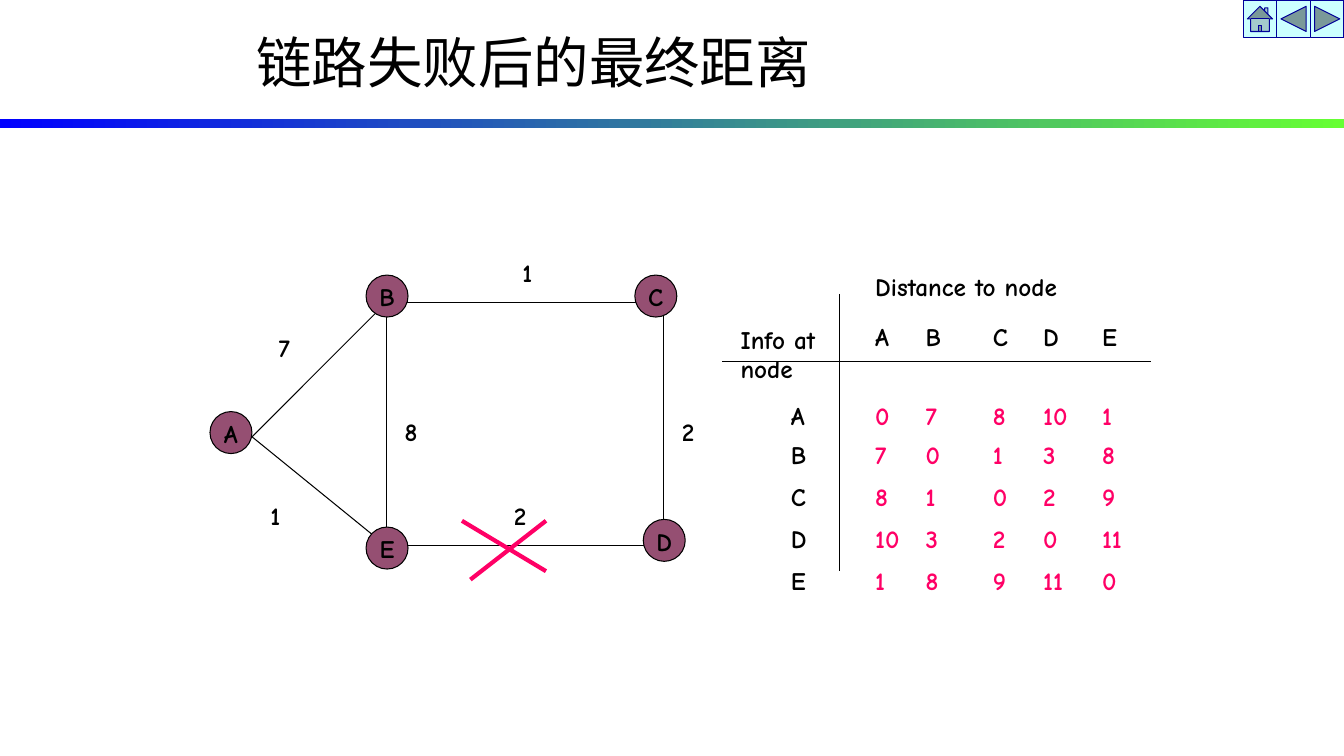
from lxml.etree import SubElement
from pptx import Presentation
from pptx.dml.color import RGBColor
from pptx.enum.shapes import MSO_CONNECTOR, MSO_SHAPE
from pptx.enum.text import MSO_ANCHOR, MSO_AUTO_SIZE, PP_ALIGN
from pptx.oxml.ns import qn
from pptx.util import Pt

BLACK = RGBColor(0x00, 0x00, 0x00)
PINK = RGBColor(0xFF, 0x00, 0x66)
PLUM = RGBColor(0x95, 0x4F, 0x72)
CYAN = RGBColor(0xCC, 0xFF, 0xFF)
NAVY = RGBColor(0x00, 0x00, 0x99)
BLUE = RGBColor(0x00, 0x00, 0xFF)
GREEN = RGBColor(0x66, 0xFF, 0x33)
FONT = "Comic Neue"

TITLE = "链路失败后的最终距离"
BUTTONS = [MSO_SHAPE.ACTION_BUTTON_HOME,
           MSO_SHAPE.ACTION_BUTTON_BACK_OR_PREVIOUS,
           MSO_SHAPE.ACTION_BUTTON_FORWARD_OR_NEXT]

# Left and top of each node circle
NODES = {"A": (150, 294), "B": (261.5, 196.5), "C": (453.5, 196.5),
         "D": (459.5, 371), "E": (261.5, 376.5)}
LOOP = (276, 216, 198, 174)
SPOKES = [(276, 216, 180, 312), (180, 312, 276, 390)]
COSTS = [("7", 192, 234), ("1", 186, 354), ("1", 366, 180),
         ("2", 360, 354), ("2", 480, 294), ("8", 282, 294)]
CROSS = [(330, 372, 390, 408), (336, 414, 390, 372)]

CORNER = "Info at\nnode"
HEAD = "Distance to node"
DIST = [[0, 7, 8, 10, 1],
        [7, 0, 1, 3, 8],
        [8, 1, 0, 2, 9],
        [10, 3, 2, 0, 11],
        [1, 8, 9, 11, 0]]
COLS = [84, 54, 48, 36, 42, 48]
ROWS = [36, 30, 36, 30, 30, 30, 30]
GRID = (516, 192)
RULES = [(516, 258, 822, 258), (600, 210, 600, 408)]


def pts(*nums):
    return [Pt(num) for num in nums]


def write(frame, text, color=BLACK):
    frame.text = text
    for para in frame.paragraphs:
        for run in para.runs:
            run.font.name = FONT
            run.font.size = Pt(18)
            run.font.bold = True
            run.font.color.rgb = color


def draw(slide, kind, box, fill=None, line=BLACK):
    shape = slide.shapes.add_shape(kind, *pts(*box))
    shape.shadow.inherit = False
    if fill is None:
        shape.fill.background()
    else:
        shape.fill.solid()
        shape.fill.fore_color.rgb = fill
    shape.line.color.rgb = line
    shape.line.width = Pt(0.75)
    return shape


def link(slide, ends, color=BLACK, width=0.75):
    line = slide.shapes.add_connector(MSO_CONNECTOR.STRAIGHT, *pts(*ends))
    SubElement(line._element.spPr, qn("a:effectLst"))
    line.line.color.rgb = color
    line.line.width = Pt(width)


def add_title(slide):
    title = slide.shapes.title
    title.left, title.top, title.width, title.height = pts(176, 21, 459, 51)
    frame = title.text_frame
    frame.text = TITLE
    frame.auto_size = MSO_AUTO_SIZE.NONE
    frame.vertical_anchor = MSO_ANCHOR.MIDDLE
    para = frame.paragraphs[0]
    para.alignment = PP_ALIGN.LEFT
    para.line_spacing = 0.9
    font = para.runs[0].font
    font.name, font.size = "Calibri", Pt(39.6)
    font.color.rgb = BLACK


def add_frame(slide):
    """Draw the colour bar and the buttons in the corner."""
    bar = draw(slide, MSO_SHAPE.RECTANGLE, (0, 85, 960, 6.5))
    bar.line.fill.background()
    bar.fill.gradient()
    bar.fill.gradient_angle = 0
    for stop, color, place in zip(bar.fill.gradient_stops, (BLUE, GREEN), (0, 1)):
        stop.color.rgb = color
        stop.position = place
    for i, kind in enumerate(BUTTONS):
        draw(slide, kind, (888 + 24 * i, 0, 24, 27), CYAN, NAVY)


def add_graph(slide):
    draw(slide, MSO_SHAPE.RECTANGLE, LOOP)
    for ends in SPOKES:
        link(slide, ends)
    for name, (left, top) in NODES.items():
        node = draw(slide, MSO_SHAPE.OVAL, (left, top, 30, 30), PLUM)
        frame = node.text_frame
        write(frame, name)
        frame.word_wrap = False
        frame.vertical_anchor = MSO_ANCHOR.MIDDLE
        frame.margin_left = frame.margin_right = frame.margin_bottom = 0
        frame.margin_top = Pt(1)
        frame.paragraphs[0].alignment = PP_ALIGN.CENTER
    for cost, left, top in COSTS:
        box = slide.shapes.add_textbox(*pts(left, top, 25, 28.8))
        box.text_frame.word_wrap = False
        write(box.text_frame, cost)
    for ends in CROSS:
        link(slide, ends, PINK, 3)


def add_grid(slide):
    size = (sum(COLS), sum(ROWS))
    table = slide.shapes.add_table(len(ROWS), len(COLS), *pts(*GRID, *size)).table
    table.first_row = table.horz_banding = False
    for col, width in zip(table.columns, COLS):
        col.width = Pt(width)
    for row, height in zip(table.rows, ROWS):
        row.height = Pt(height)
    table.cell(0, 0).merge(table.cell(1, 0))
    table.cell(0, 1).merge(table.cell(0, len(COLS) - 1))

    cells = [[CORNER, HEAD, "", "", "", ""], ["", *NODES]]
    cells += [[name, *map(str, row)] for name, row in zip(NODES, DIST)]
    for r, row in enumerate(cells):
        for c, text in enumerate(row):
            cell = table.cell(r, c)
            cell.fill.background()
            cell.margin_left = Pt({0: 49, 1: 25.2}.get(c, 7.2))
            cell.margin_right = 0
            cell.vertical_anchor = MSO_ANCHOR.BOTTOM if r == 2 else MSO_ANCHOR.TOP
            if text:
                write(cell.text_frame, text, PINK if r > 1 and c else BLACK)
    corner = table.cell(0, 0)
    corner.margin_left, corner.margin_bottom = pts(13, 1)
    corner.vertical_anchor = MSO_ANCHOR.BOTTOM
    for ends in RULES:
        link(slide, ends)


def main():
    deck = Presentation()
    deck.slide_width, deck.slide_height = pts(960, 540)
    slide = deck.slides.add_slide(deck.slide_layouts[5])
    add_title(slide)
    add_frame(slide)
    add_graph(slide)
    add_grid(slide)
    deck.save("out.pptx")


if __name__ == "__main__":
    main()
